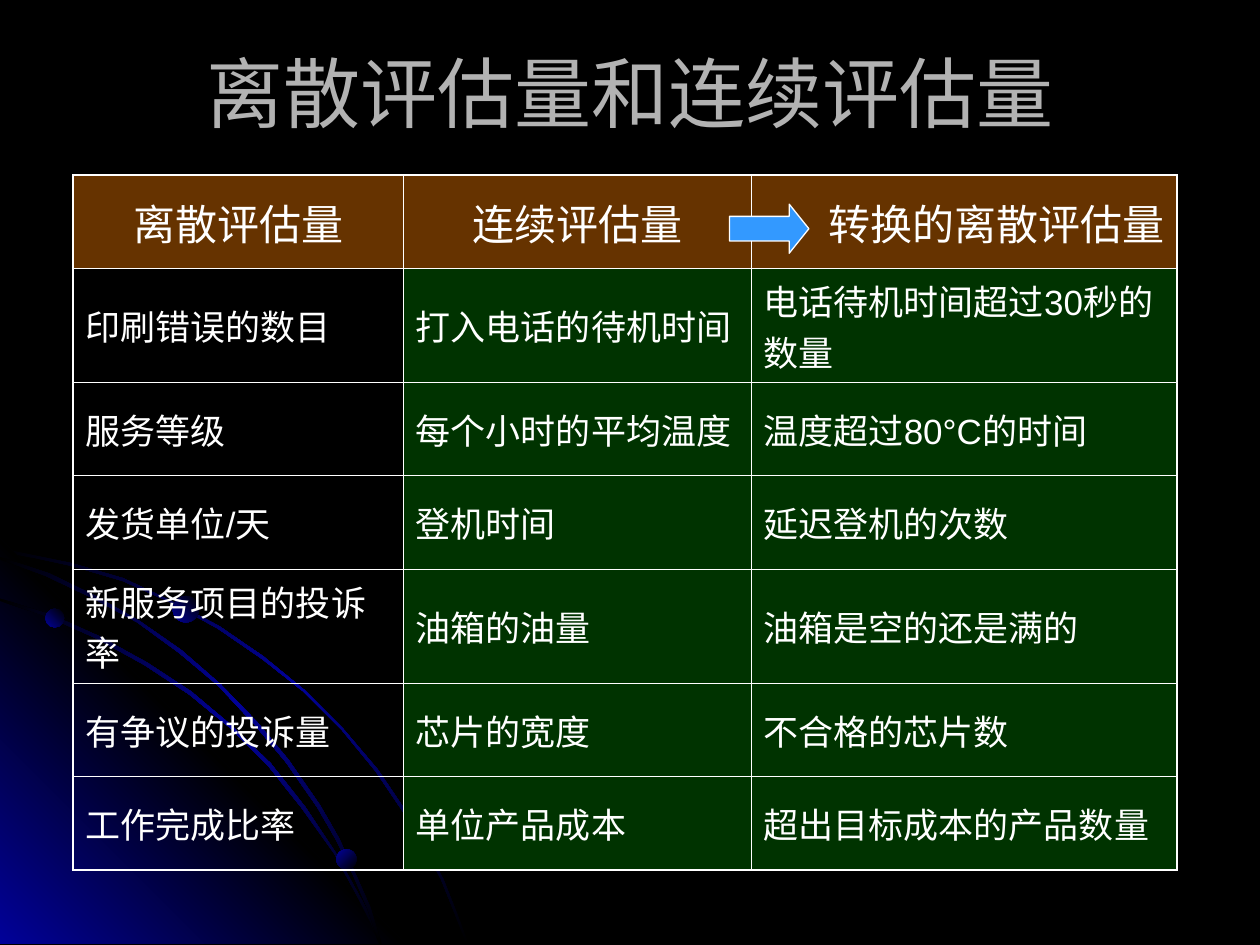
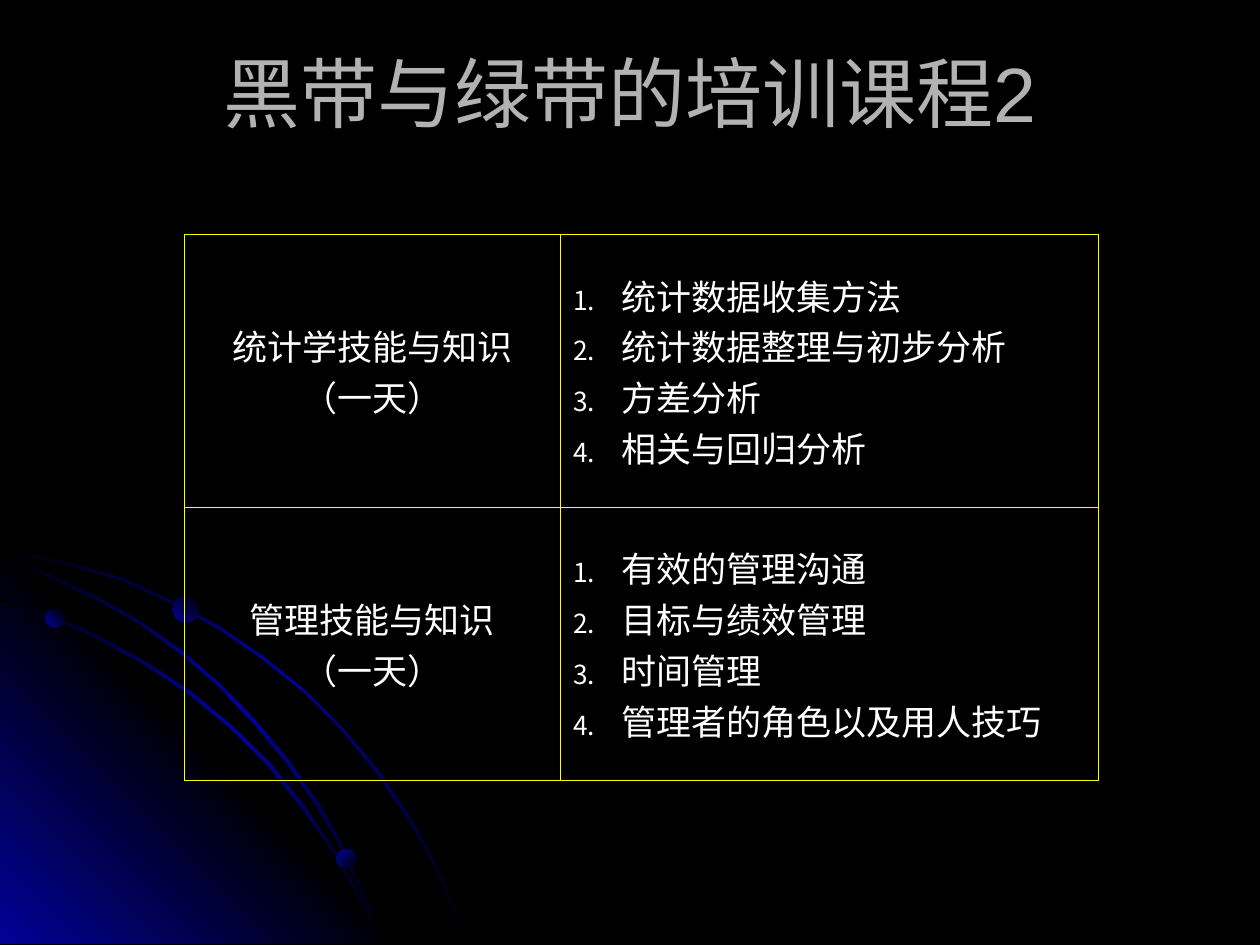
import lxml.etree
import pptx
import pptx.dml.color
import pptx.enum.shapes
import pptx.enum.text
import pptx.oxml.ns
import pptx.oxml.xmlchemy
import pptx.util

RGB = pptx.dml.color.RGBColor
ALIGN = pptx.enum.text.PP_ALIGN
MIDDLE = pptx.enum.text.MSO_ANCHOR.MIDDLE
SHAPE = pptx.enum.shapes.MSO_SHAPE

BLACK = RGB(0x00, 0x00, 0x00)
WHITE = RGB(0xFF, 0xFF, 0xFF)
GREY = RGB(0xB2, 0xB2, 0xB2)
NAVY = RGB(0x01, 0x01, 0x99)
BROWN = RGB(0x66, 0x33, 0x00)
GREEN = RGB(0x00, 0x33, 0x00)
SKY = RGB(0x33, 0x99, 0xFF)
YELLOW = RGB(0xFF, 0xFF, 0x00)

# Grid: 1000 columns by 750 rows of square cells
COLS, ROWS = 1000, 750
CELL = pptx.util.Inches(0.01)
THIN, THICK = 0.45, 1.08

# Corner decoration, in grid cells
GLOW = [(322, 749), (0, 749), (0, 427)]
OUTER_ARC = [
    (57, 447), (28, 441), (0, 435), (0, 438), (28, 443), (56, 449), (97, 461),
    (135, 478), (173, 499), (208, 523), (241, 549), (271, 579), (298, 612),
    (323, 649), (337, 673), (350, 698), (360, 723), (370, 749), (372, 749),
    (362, 723), (352, 698), (339, 673), (325, 648), (300, 611), (272, 578),
    (242, 548), (209, 521), (174, 497), (136, 477), (98, 459)]
INNER_ARC = [
    (285, 714), (294, 732), (301, 749), (303, 749), (296, 730), (286, 712),
    (266, 676), (242, 640), (215, 606), (184, 576), (152, 549), (117, 526),
    (79, 505), (41, 488), (0, 475), (0, 477), (39, 490), (77, 507), (115, 528),
    (150, 551), (183, 578), (213, 608), (240, 642), (265, 677)]
MIDDLE_ARC = [
    (0, 442), (0, 444), (36, 457), (74, 475), (109, 494), (142, 518),
    (173, 544), (202, 575), (227, 605), (252, 641), (267, 667), (280, 694),
    (292, 722), (301, 749), (303, 749), (294, 720), (282, 693), (269, 665),
    (254, 639), (229, 603), (204, 573), (175, 543), (144, 516), (111, 493),
    (76, 473), (39, 455)]
OUTLINES = [
    (OUTER_ARC, (BLACK, NAVY, BLACK), 225),
    (GLOW, (NAVY, BLACK, NAVY), 135),
    (INNER_ARC, (BLACK, NAVY, BLACK), 225),
    (MIDDLE_ARC, (BLACK, NAVY, BLACK), 225)]
DOTS = [(36, 483, 15, 135), (267, 674, 16, 225), (137, 473, 21, 135)]


def set_attrs(obj, values):
    for name, value in values.items():
        setattr(obj, name, value)


def element(tag, **attrs):
    el = pptx.oxml.xmlchemy.OxmlElement(tag)
    for name, value in attrs.items():
        el.set(name, str(value))
    return el


def color_element(parent, color):
    lxml.etree.SubElement(parent, pptx.oxml.ns.qn("a:srgbClr"), val=str(color))


class Deck:
    """Holds the shared style and the slide being drawn."""

    def __init__(self):
        self.prs = pptx.Presentation()
        set_attrs(self.prs, {"slide_width": COLS * CELL, "slide_height": ROWS * CELL})
        self.s = None

    def box(self, *cells):
        return [pptx.util.Emu(c * CELL) for c in cells]

    def slide(self, title):
        self.s = self.prs.slides.add_slide(self.prs.slide_layouts[5])
        fill = self.s.background.fill
        fill.solid()
        fill.fore_color.rgb = BLACK
        self.decoration()
        sp = self.s.shapes.title
        names = ("left", "top", "width", "height")
        set_attrs(sp, dict(zip(names, self.box(50, 30, 900, 85))))
        set_attrs(sp.text_frame, {
            "word_wrap": True, "vertical_anchor": MIDDLE,
            "auto_size": pptx.enum.text.MSO_AUTO_SIZE.NONE})
        self.text(sp.text_frame.paragraphs[0], title, 44, color=GREY, align=ALIGN.CENTER)

    def text(self, p, words, size, font="Arial", color=WHITE, align=ALIGN.LEFT, before=0):
        set_attrs(p, {"alignment": align, "space_before": pptx.util.Pt(before)})
        r = p.add_run()
        r.text = words
        set_attrs(r.font, {"name": font, "size": pptx.util.Pt(size), "bold": False})
        r.font.color.rgb = color
        r._r.get_or_add_rPr().set("lang", "zh-CN")

    def gradient(self, sp, colors, angle):
        """Fill with evenly spaced colours and no outline."""
        sp.shadow.inherit = False
        sp.line.fill.background()
        sp.fill.gradient()
        grad = sp._element.spPr.find(pptx.oxml.ns.qn("a:gradFill"))
        for child in list(grad):
            grad.remove(child)
        stops = element("a:gsLst")
        for i, color in enumerate(colors):
            stop = element("a:gs", pos=100000 * i // (len(colors) - 1))
            color_element(stop, color)
            stops.append(stop)
        grad.append(stops)
        grad.append(element("a:lin", ang=angle * 60000, scaled=0))

    def decoration(self):
        for points, colors, angle in OUTLINES:
            fb = self.s.shapes.build_freeform(*points[0], scale=CELL)
            fb.add_line_segments(points[1:], close=True)
            self.gradient(fb.convert_to_shape(), colors, angle)
        for col, row, size, angle in DOTS:
            sp = self.s.shapes.add_shape(SHAPE.OVAL, *self.box(col, row, size, size))
            self.gradient(sp, (BLACK, NAVY), angle)

    def arrow(self, col, row, width, height):
        sp = self.s.shapes.add_shape(
            SHAPE.RIGHT_ARROW, *self.box(col, row, width, height))
        sp.shadow.inherit = False
        sp.adjustments[1] = 0.4
        sp.fill.solid()
        sp.fill.fore_color.rgb = SKY
        sp.line.color.rgb = WHITE
        sp.line.width = pptx.util.Pt(0.75)

    def table(self, col, row, widths, heights):
        frame = self.s.shapes.add_table(
            len(heights), len(widths), *self.box(col, row, sum(widths), sum(heights)))
        table = frame.table
        set_attrs(table, {"first_row": False, "horz_banding": False})
        for column, width in zip(table.columns, widths):
            column.width = self.box(width)[0]
        for line, height in zip(table.rows, heights):
            line.height = self.box(height)[0]
        return table

    def cell(self, cell, borders, color, fill=None):
        """Draw borders given as widths for left, right, top and bottom."""
        cell.vertical_anchor = MIDDLE
        tcPr = cell._tc.get_or_add_tcPr()
        for side, width in zip("LRTB", borders):
            ln = element(f"a:ln{side}", w=int(pptx.util.Pt(width)))
            solid = element("a:solidFill")
            color_element(solid, color)
            ln.append(solid)
            tcPr.append(ln)
        if fill is None:
            cell.fill.background()
        else:
            cell.fill.solid()
            cell.fill.fore_color.rgb = fill

    def lines(self, cell, lines, numbered=False, **style):
        tf = cell.text_frame
        for i, words in enumerate(lines):
            p = tf.add_paragraph() if i else tf.paragraphs[0]
            self.text(p, words, **style)
            if numbered:
                self.number(p)

    def number(self, p):
        pPr = p._p.get_or_add_pPr()
        indent = 38 * CELL
        pPr.set("marL", str(indent))
        pPr.set("indent", str(-indent))
        color = element("a:buClr")
        color_element(color, WHITE)
        pPr.extend([color, element("a:buSzPct", val=75000),
                    element("a:buAutoNum", type="arabicPeriod")])


# Slide 1: discrete and continuous measures
MEASURES = [
    ("离散评估量", "连续评估量", "转换的离散评估量"),
    ("印刷错误的数目", "打入电话的待机时间", "电话待机时间超过30秒的数量"),
    ("服务等级", "每个小时的平均温度", "温度超过80°C的时间"),
    ("发货单位/天", "登机时间", "延迟登机的次数"),
    ("新服务项目的投诉率", "油箱的油量", "油箱是空的还是满的"),
    ("有争议的投诉量", "芯片的宽度", "不合格的芯片数"),
    ("工作完成比率", "单位产品成本", "超出目标成本的产品数量")]


def measures_slide(deck):
    deck.slide("离散评估量和连续评估量")
    table = deck.table(58, 139, [262, 276, 338], [74, 77, 74, 74, 77, 74, 74])
    header_align = (ALIGN.CENTER, ALIGN.CENTER, ALIGN.RIGHT)
    last_row, last_col = len(MEASURES) - 1, len(header_align) - 1
    for i, row in enumerate(MEASURES):
        for j, words in enumerate(row):
            outer = (j == 0, j == last_col, i == 0, i == last_row)
            borders = [THICK if edge else THIN for edge in outer]
            if i == 0:
                fill, style = BROWN, {"size": 24, "before": 6, "align": header_align[j]}
            else:
                fill, style = GREEN if j else None, {"size": 20, "before": 5}
            deck.cell(table.cell(i, j), borders, WHITE, fill)
            deck.lines(table.cell(i, j), [words], **style)
    deck.arrow(579, 162, 63, 39)


# Slide 2: training courses
COURSES = [
    (["统计学技能与知识", "（一天）"],
     ["统计数据收集方法", "统计数据整理与初步分析", "方差分析", "相关与回归分析"]),
    (["管理技能与知识", "（一天）"],
     ["有效的管理沟通", "目标与绩效管理", "时间管理", "管理者的角色以及用人技巧"])]


def courses_slide(deck):
    deck.slide("黑带与绿带的培训课程2")
    table = deck.table(146, 186, [299, 427], [217, 216])
    style = {"size": 20, "font": "Times New Roman"}
    for i, (course, topics) in enumerate(COURSES):
        for j in range(2):
            deck.cell(table.cell(i, j), [THIN] * 4, YELLOW)
        deck.lines(table.cell(i, 0), course, align=ALIGN.CENTER, **style)
        deck.lines(table.cell(i, 1), topics, numbered=True, **style)


def main():
    deck = Deck()
    measures_slide(deck)
    courses_slide(deck)
    deck.prs.save("out.pptx")


if __name__ == "__main__":
    main()
